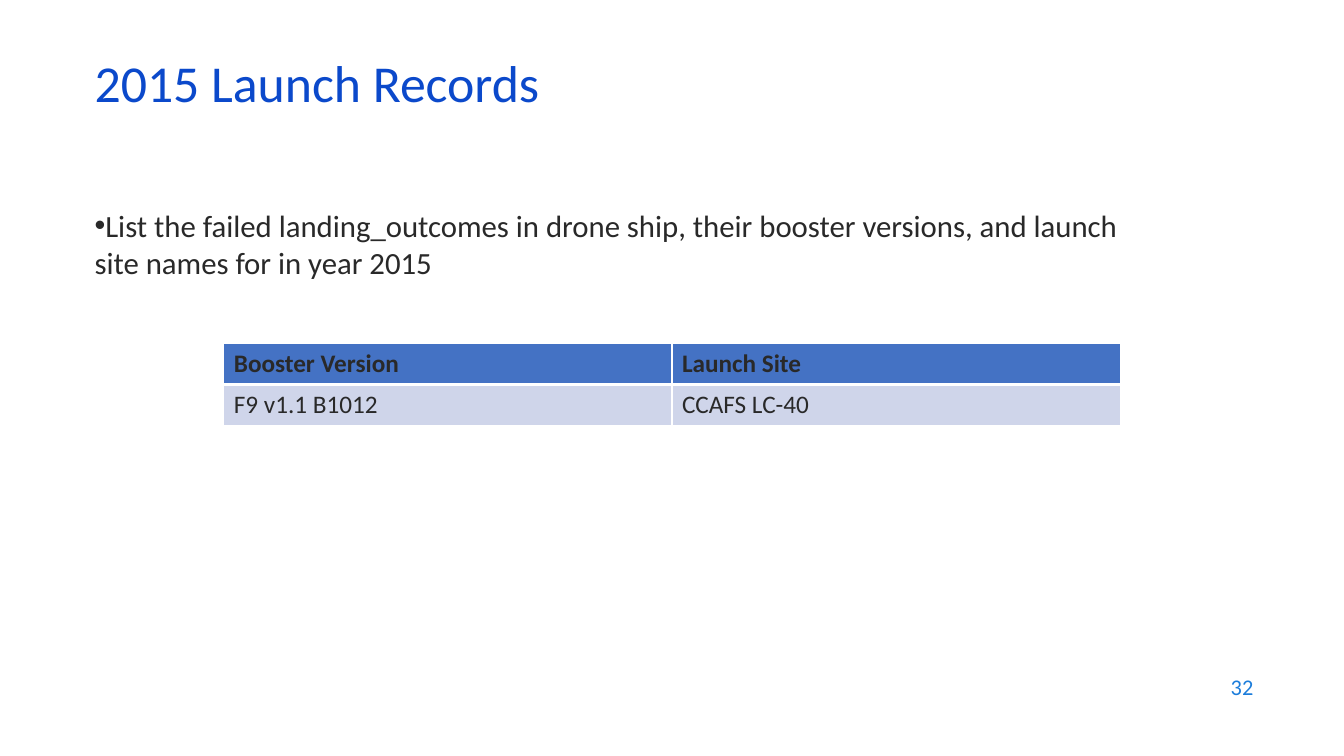
from lxml import etree
from pptx import Presentation
from pptx.dml.color import RGBColor
from pptx.enum.text import MSO_ANCHOR, PP_ALIGN
from pptx.oxml.ns import qn
from pptx.util import Inches, Pt

LEFT, RIGHT = PP_ALIGN.LEFT, PP_ALIGN.RIGHT
TOP, MIDDLE = MSO_ANCHOR.TOP, MSO_ANCHOR.MIDDLE
FONT = "Calibri"
COLORS = {
    "title": "0B49CB",
    "text": "292929",
    "number": "1C7DDB",
    "header": "4472C4",
    "row": "CFD5EA",
    "border": "FFFFFF",
}
RECORDS = [
    ["Booster Version", "Launch Site"],
    ["F9 v1.1 B1012", "CCAFS LC-40"],
]


def rgb(name):
    return RGBColor.from_string(COLORS[name])


def style_font(paragraph, size, color, bold=False):
    font = paragraph.font
    for key, value in {"name": FONT, "size": Pt(size), "bold": bold}.items():
        setattr(font, key, value)
    font.color.rgb = rgb(color)


def add_text(slide, box, text, size, color, anchor=TOP, align=LEFT,
             spacing=1.0, bullet=None):
    frame = slide.shapes.add_textbox(*map(Inches, box)).text_frame
    frame.word_wrap = True
    frame.vertical_anchor = anchor
    paragraph = frame.paragraphs[0]
    paragraph.text = text
    paragraph.alignment = align
    paragraph.line_spacing = spacing
    if bullet:
        properties = paragraph._p.get_or_add_pPr()
        properties.set("marL", "0")
        properties.set("indent", "0")
        etree.SubElement(properties, qn("a:buFont")).set("typeface", "Arial")
        etree.SubElement(properties, qn("a:buChar")).set("char", bullet)
    style_font(paragraph, size, color)


def set_borders(cell, widths):
    """Draw cell borders; widths maps a side (L, R, T, B) to points."""
    properties = cell._tc.get_or_add_tcPr()
    for position, (side, width) in enumerate(widths.items()):
        line = etree.Element(qn(f"a:ln{side}"), w=str(Pt(width)))
        fill = etree.SubElement(line, qn("a:solidFill"))
        etree.SubElement(fill, qn("a:srgbClr")).set("val", COLORS["border"])
        properties.insert(position, line)


def add_records_table(slide, box, records):
    table = slide.shapes.add_table(
        len(records), len(records[0]), *map(Inches, box)).table
    for r, record in enumerate(records):
        is_header = r == 0
        for c, value in enumerate(record):
            cell = table.cell(r, c)
            cell.text = value
            cell.fill.solid()
            cell.fill.fore_color.rgb = rgb("header" if is_header else "row")
            style_font(cell.text_frame.paragraphs[0], 18, "text", is_header)
            set_borders(cell, {"L": 1, "R": 1, "T": 1 if is_header else 3,
                               "B": 3 if is_header else 1})


def build_launch_records(slide):
    add_text(slide, (0.84, 0.59, 11.5, 0.6), "2015 Launch Records",
             37, "title", anchor=MIDDLE, spacing=0.7)
    add_text(slide, (0.84, 2, 10.66, 4.76),
             "List the failed landing_outcomes in drone ship, their booster "
             "versions, and launch site names for in year 2015",
             22, "text", bullet="•")
    add_records_table(slide, (2.22, 3.41, 8.89, 0.81), RECORDS)
    add_text(slide, (9.53, 6.59, 3, 0.44), "32", 16, "number",
             anchor=MIDDLE, align=RIGHT)


def main():
    deck = Presentation()
    deck.slide_width, deck.slide_height = Inches(13.33), Inches(7.5)
    build_launch_records(deck.slides.add_slide(deck.slide_layouts[6]))
    deck.save("out.pptx")


if __name__ == "__main__":
    main()
